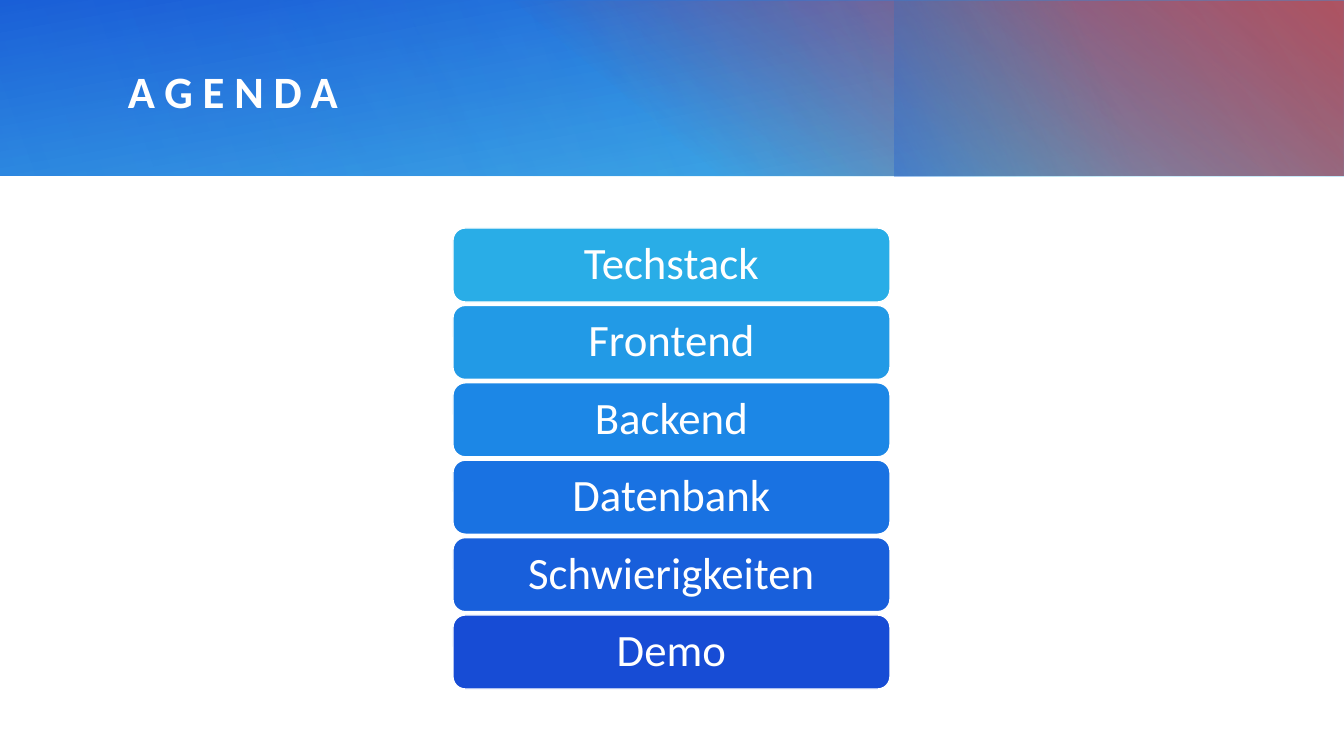
from dataclasses import dataclass

from pptx import Presentation
from pptx.dml.color import RGBColor
from pptx.enum.shapes import MSO_SHAPE
from pptx.enum.text import MSO_ANCHOR, PP_ALIGN
from pptx.oxml import parse_xml
from pptx.oxml.ns import nsdecls, qn
from pptx.util import Emu, Pt

RECT, ROUND = MSO_SHAPE.RECTANGLE, MSO_SHAPE.ROUNDED_RECTANGLE
MIDDLE, CENTER = MSO_ANCHOR.MIDDLE, PP_ALIGN.CENTER
EMU_PER_PX = 914400 / 100.8


@dataclass(frozen=True)
class Theme:
    font: str = "Calibri"
    size: int = 32
    white: str = "FFFFFF"
    sky: str = "29ADE7"
    royal: str = "174CD5"
    red: str = "E72D29"
    teal: str = "14B4A3"
    steps: tuple = ("29ADE7", "229AE6", "1C87E6", "1972E2", "185FDB", "174CD5")


THEME = Theme()
TOPICS = ("Techstack", "Frontend", "Backend", "Datenbank", "Schwierigkeiten", "Demo")


def px(n):
    return Emu(round(n * EMU_PER_PX))


def add_box(slide, kind, x, y, w, h):
    s = slide.shapes.add_shape(kind, px(x), px(y), px(w), px(h))
    s.shadow.inherit = False
    return s


def set_gradient(s, stops, angle):
    """Fill with (position %, colour, opacity %) stops, angle clockwise."""
    gs = "".join(
        f'<a:gs pos="{pos * 1000}"><a:srgbClr val="{color}">'
        f'<a:alpha val="{alpha * 1000}"/></a:srgbClr></a:gs>'
        for pos, color, alpha in stops)
    grad = parse_xml(
        f'<a:gradFill {nsdecls("a")} rotWithShape="1"><a:gsLst>{gs}</a:gsLst>'
        f'<a:lin ang="{angle * 60000}" scaled="0"/></a:gradFill>')
    s.fill.gradient()
    sp_pr = s.element.spPr
    sp_pr.replace(sp_pr.find(qn("a:gradFill")), grad)


def set_text(s, text, inset_x=0, inset_y=0):
    tf = s.text_frame
    tf.word_wrap = True
    tf.vertical_anchor = MIDDLE
    tf.margin_left = tf.margin_right = px(inset_x)
    tf.margin_top = tf.margin_bottom = px(inset_y)
    p = tf.paragraphs[0]
    p.text = text
    p.line_spacing = 0.9
    p.font.name = THEME.font
    p.font.size = Pt(THEME.size)
    p.font.color.rgb = RGBColor.from_string(THEME.white)
    return p


def add_header(slide, x, y, w, h):
    t = THEME
    # Gradient layers: box, rotation, stops, angle
    layers = (
        ((0, 0, w, h), 0, ((0, t.sky, 83), (100, t.royal, 100)), 260),
        ((485, 1, w - 485, h - 1), 0, ((22, t.red, 0), (99, t.red, 100)), 310),
        ((995, -100, h, 377), 270, ((45, t.teal, 0), (99, t.royal, 33)), 250),
        ((270, 0, w - 270, h), 180, ((0, t.sky, 30), (99, t.sky, 0)), 330),
        ((0, 0, 872, h), 0, ((0, t.sky, 21), (99, t.sky, 0)), 340),
    )
    for (dx, dy, lw, lh), rotation, stops, angle in layers:
        s = add_box(slide, RECT, x + dx, y + dy, lw, lh)
        s.rotation = rotation
        s.line.fill.background()
        set_gradient(s, stops, angle)

    # Title
    title = slide.shapes.add_textbox(px(x + 128), px(y + 41), px(1144), px(107))
    p = set_text(title, "AGENDA")
    p.font.bold = True
    p.runs[0].font.bold = True
    p.runs[0].font._element.set("spc", "700")


def add_agenda(slide, x, y, w, h):
    bar_h = 74
    pitch = (h - bar_h) / (len(TOPICS) - 1)
    for i, (topic, color) in enumerate(zip(TOPICS, THEME.steps)):
        s = add_box(slide, ROUND, x, y + i * pitch, w, bar_h)
        s.fill.solid()
        s.fill.fore_color.rgb = RGBColor.from_string(color)
        s.line.color.rgb = RGBColor.from_string(THEME.white)
        s.line.width = Pt(1)
        set_text(s, topic, 17, 10).alignment = CENTER


def main():
    prs = Presentation()
    prs.slide_width, prs.slide_height = px(1344), px(756)
    slide = prs.slides.add_slide(prs.slide_layouts[6])
    add_header(slide, 0, 0, 1344, 176)
    add_agenda(slide, 453, 228, 437, 461)
    prs.save("out.pptx")


if __name__ == "__main__":
    main()
